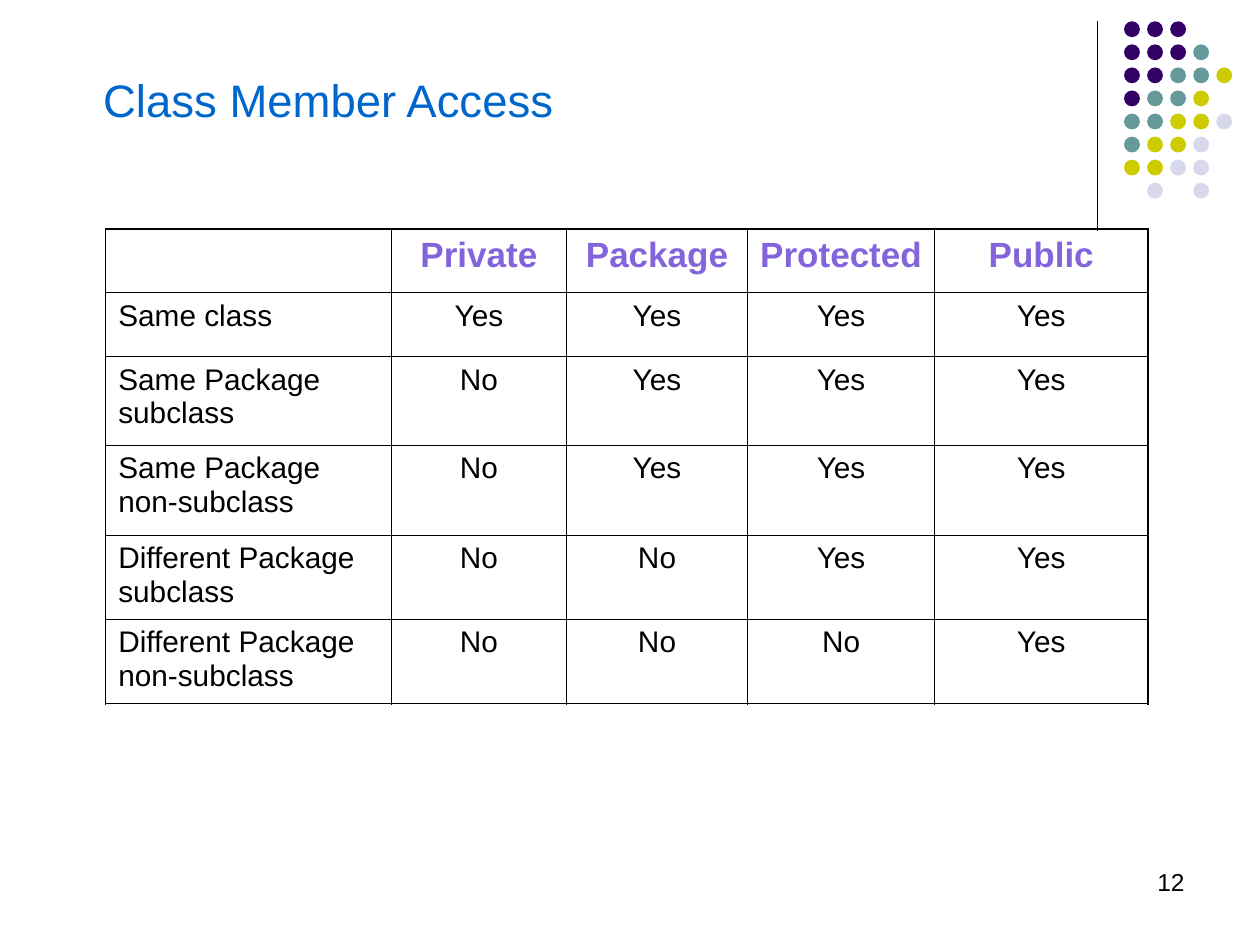
from lxml.etree import SubElement
from pptx import Presentation
from pptx.dml.color import RGBColor
from pptx.enum.shapes import MSO_CONNECTOR, MSO_SHAPE
from pptx.enum.text import PP_ALIGN
from pptx.oxml.ns import qn
from pptx.util import Cm, Pt

BLACK = RGBColor(0x00, 0x00, 0x00)
BLUE = RGBColor(0x00, 0x66, 0xCC)
VIOLET = RGBColor(0x83, 0x64, 0xDA)
DOT_COLORS = {
    "P": RGBColor(0x33, 0x00, 0x66),
    "T": RGBColor(0x66, 0x99, 0x99),
    "Y": RGBColor(0xCC, 0xCC, 0x00),
    "L": RGBColor(0xD8, 0xD8, 0xEC),
}
DOT_ROWS = ["PPP", "PPPT", "PPTTY", "PTTY", "TTYYL", "TYYL", "YYLL", ".L.L"]
DOT_SIZE = 0.32
DOT_STEP = 1.86 / 4

ACCESS = [
    ["", "Private", "Package", "Protected", "Public"],
    ["Same class", "Yes", "Yes", "Yes", "Yes"],
    ["Same Package subclass", "No", "Yes", "Yes", "Yes"],
    ["Same Package non-subclass", "No", "Yes", "Yes", "Yes"],
    ["Different Package subclass", "No", "No", "Yes", "Yes"],
    ["Different Package non-subclass", "No", "No", "No", "Yes"],
]
COL_WIDTHS = [5.76, 3.53, 3.65, 3.77, 4.3]
ROW_HEIGHTS = [1.28, 1.29, 1.79, 1.81, 1.69, 1.7]
INNER, OUTER = Pt(0.45), Pt(1.08)


def add_run(tf, text, size, color, align=PP_ALIGN.LEFT, bold=False):
    p = tf.paragraphs[0]
    p.alignment = align
    r = p.add_run()
    r.text = text
    r.font.name = "Arial"
    r.font.size = Pt(size)
    r.font.bold = bold
    r.font.color.rgb = color


def add_text(s, left, top, width, height, text, size, color, align=PP_ALIGN.LEFT):
    tf = s.shapes.add_textbox(Cm(left), Cm(top), Cm(width), Cm(height)).text_frame
    tf.word_wrap = True
    add_run(tf, text, size, color, align)


def add_rule(s, x, top, bottom):
    line = s.shapes.add_connector(MSO_CONNECTOR.STRAIGHT, Cm(x), Cm(top), Cm(x), Cm(bottom))
    line.line.color.rgb = BLACK
    line.line.width = Pt(0.75)
    SubElement(line._element.spPr, qn("a:effectLst"))


def add_dots(s, left, top):
    group = s.shapes.add_group_shape()
    for row, codes in enumerate(DOT_ROWS):
        for col, code in enumerate(codes):
            if code not in DOT_COLORS:
                continue
            sp = group.shapes.add_shape(
                MSO_SHAPE.OVAL, Cm(left + col * DOT_STEP), Cm(top + row * DOT_STEP),
                Cm(DOT_SIZE), Cm(DOT_SIZE))
            sp.shadow.inherit = False
            sp.fill.solid()
            sp.fill.fore_color.rgb = DOT_COLORS[code]
            sp.line.fill.background()


def set_borders(cell, widths):
    tcPr = cell._tc.get_or_add_tcPr()
    for side, width in widths.items():
        ln = SubElement(tcPr, qn(f"a:ln{side}"), w=str(width))
        fill = SubElement(ln, qn("a:solidFill"))
        SubElement(fill, qn("a:srgbClr"), val=str(BLACK))


def add_access_table(s, left, top):
    rows, cols = len(ACCESS), len(ACCESS[0])
    table = s.shapes.add_table(
        rows, cols, Cm(left), Cm(top), Cm(sum(COL_WIDTHS)), Cm(sum(ROW_HEIGHTS))).table
    table.first_row = table.horz_banding = False
    for column, width in zip(table.columns, COL_WIDTHS):
        column.width = Cm(width)
    for row, height in zip(table.rows, ROW_HEIGHTS):
        row.height = Cm(height)
    for i, texts in enumerate(ACCESS):
        for j, text in enumerate(texts):
            cell = table.cell(i, j)
            set_borders(cell, {
                "L": OUTER if j == 0 else INNER,
                "R": OUTER if j == cols - 1 else INNER,
                "T": OUTER if i == 0 else INNER,
                "B": OUTER if i == rows - 1 else INNER,
            })
            cell.fill.background()
            if text:
                header = i == 0
                add_run(cell.text_frame, text, 20 if header else 17,
                        VIOLET if header else BLACK,
                        PP_ALIGN.CENTER if j else PP_ALIGN.LEFT, header)


def main():
    prs = Presentation()
    prs.slide_width, prs.slide_height = Cm(25.4), Cm(19.05)
    s = prs.slides.add_slide(prs.slide_layouts[6])
    add_rule(s, 22.12, 0.43, 4.65)
    add_dots(s, 22.66, 0.43)
    add_text(s, 18.21, 17.35, 5.92, 1.32, "12", 14, BLACK, PP_ALIGN.RIGHT)
    add_text(s, 1.83, 1.32, 9.7, 1.37, "Class Member Access", 26, BLUE)
    add_access_table(s, 2.13, 4.62)
    prs.save("out.pptx")


if __name__ == "__main__":
    main()
